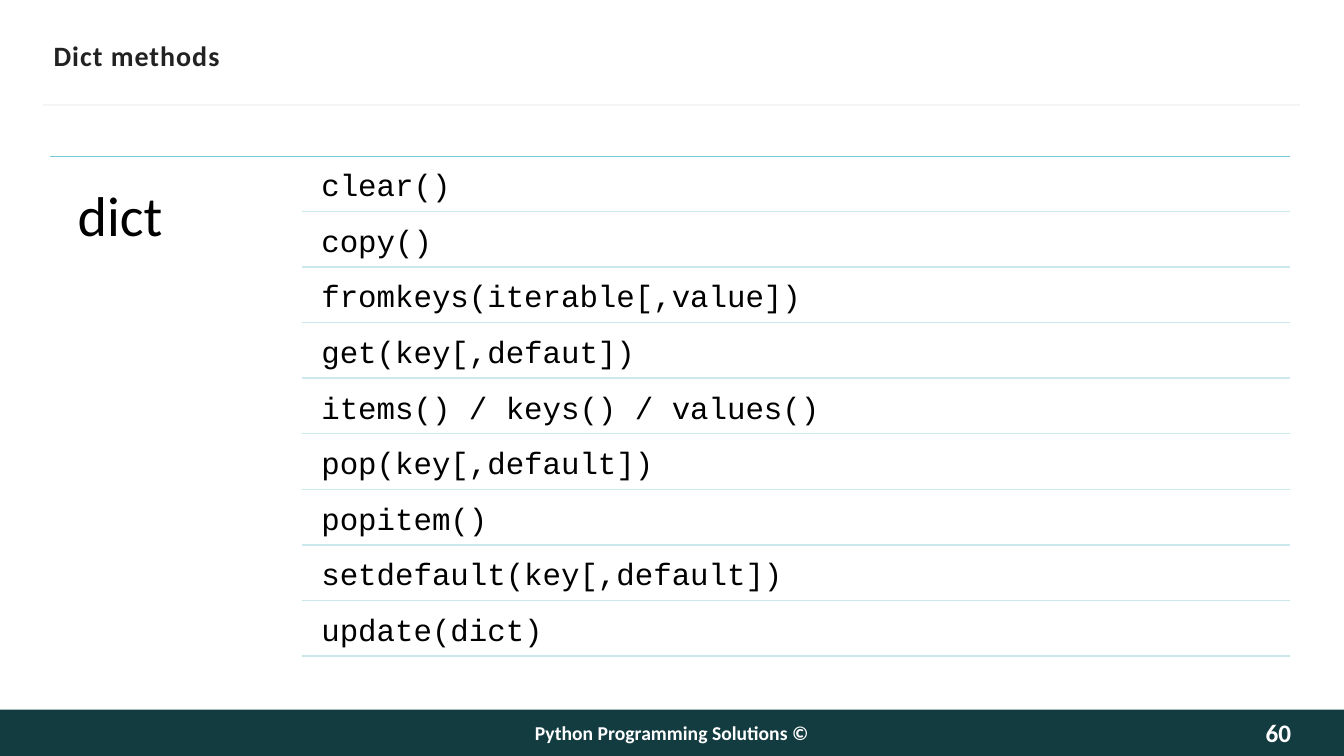
from dataclasses import dataclass

from lxml.etree import SubElement
from pptx import Presentation
from pptx.dml.color import RGBColor
from pptx.enum.shapes import MSO_CONNECTOR as Connector, MSO_SHAPE as Shape
from pptx.enum.text import MSO_ANCHOR as Anchor, PP_ALIGN as Align
from pptx.oxml.ns import qn
from pptx.slide import Slide
from pptx.util import Cm, Pt

TEAL_DARK = RGBColor(0x13, 0x3C, 0x41)
TEAL = RGBColor(0x76, 0xCD, 0xD8)
TEAL_PALE = RGBColor(0xCA, 0xE8, 0xED)
GREY_PALE = RGBColor(0xF5, 0xF5, 0xF5)
GREY_DARK = RGBColor(0x22, 0x22, 0x22)
BLACK = RGBColor(0, 0, 0)
WHITE = RGBColor(0xFF, 0xFF, 0xFF)
NEAR_WHITE = RGBColor(0xFE, 0xFE, 0xFE)

WIDTH, HEIGHT = 33.87, 19.05
FOOTER_TOP = 17.88
ROWS_TOP, ROW_PITCH, ROW_HEIGHT = 4.06, 1.4, 1.27
RULE_RIGHT = 32.51

METHODS = [
    "clear()",
    "copy()",
    "fromkeys(iterable[,value])",
    "get(key[,defaut])",
    "items() / keys() / values()",
    "pop(key[,default])",
    "popitem()",
    "setdefault(key[,default])",
    "update(dict)",
]


@dataclass
class Rule:
    left: float
    right: float
    y: float
    color: RGBColor
    weight: float = 1


@dataclass
class Label:
    text: str
    left: float
    top: float
    width: float
    height: float
    size: float
    color: RGBColor = BLACK
    font: str = "Calibri"
    bold: bool = False
    align: Align = Align.LEFT
    anchor: Anchor = Anchor.TOP
    inset_x: float = 0
    inset_y: float = 0
    wrap: bool = True
    line_spacing: float = 1.0
    space_after: float = 0
    tracking: float = 0


def add_rule(slide: Slide, rule: Rule) -> None:
    line = slide.shapes.add_connector(
        Connector.STRAIGHT, Cm(rule.left), Cm(rule.y), Cm(rule.right), Cm(rule.y))
    line.line.color.rgb = rule.color
    line.line.width = Pt(rule.weight)
    SubElement(line._element.spPr, qn("a:effectLst"))


def add_label(slide: Slide, label: Label) -> None:
    box = slide.shapes.add_textbox(
        Cm(label.left), Cm(label.top), Cm(label.width), Cm(label.height))
    frame = box.text_frame
    frame.word_wrap = label.wrap
    frame.vertical_anchor = label.anchor
    frame.margin_left = frame.margin_right = Cm(label.inset_x)
    frame.margin_top = frame.margin_bottom = Cm(label.inset_y)
    paragraph = frame.paragraphs[0]
    paragraph.text = label.text
    paragraph.alignment = label.align
    paragraph.line_spacing = label.line_spacing
    paragraph.space_after = Pt(label.space_after)
    font = paragraph.font
    font.name, font.size, font.bold = label.font, Pt(label.size), label.bold
    font.color.rgb = label.color
    if label.tracking:
        properties = paragraph._p.pPr.find(qn("a:defRPr"))
        properties.set("spc", str(round(label.tracking * 100)))


def add_footer(slide: Slide) -> None:
    band = slide.shapes.add_shape(
        Shape.RECTANGLE, 0, Cm(FOOTER_TOP), Cm(WIDTH), Cm(HEIGHT - FOOTER_TOP))
    band.shadow.inherit = False
    band.fill.solid()
    band.fill.fore_color.rgb = TEAL_DARK
    band.line.fill.background()
    add_label(slide, Label(
        "Python Programming Solutions ©", 8.89, FOOTER_TOP, 16.08, 1.14, 14, WHITE,
        bold=True, align=Align.CENTER, anchor=Anchor.MIDDLE,
        inset_x=0.25, inset_y=0.13))
    add_label(slide, Label(
        "60", 30.86, FOOTER_TOP, 1.68, 1.17, 18, NEAR_WHITE,
        bold=True, align=Align.RIGHT, anchor=Anchor.MIDDLE))


def add_methods(slide: Slide) -> None:
    for index, method in enumerate(METHODS):
        top = ROWS_TOP + index * ROW_PITCH
        add_label(slide, Label(
            method, 7.87, top, 24.51, ROW_HEIGHT, 22, font="Courier New",
            inset_x=0.23, inset_y=0.23, line_spacing=0.9, space_after=7.7))
        add_rule(slide, Rule(7.62, RULE_RIGHT, top + ROW_HEIGHT, TEAL_PALE))


def main() -> None:
    presentation = Presentation()
    presentation.slide_width, presentation.slide_height = Cm(WIDTH), Cm(HEIGHT)
    slide = presentation.slides.add_slide(presentation.slide_layouts[6])

    # Footer band and page number
    add_footer(slide)

    # Title with its rule
    add_rule(slide, Rule(1.09, 32.77, 2.64, GREY_PALE, 1.5))
    add_label(slide, Label(
        "Dict methods", 1.35, 0.84, 31.22, 1.12, 20, GREY_DARK, bold=True,
        anchor=Anchor.MIDDLE, inset_y=0.13, wrap=False, tracking=0.7))

    # Type name and its methods
    add_rule(slide, Rule(1.27, RULE_RIGHT, 3.94, TEAL))
    add_label(slide, Label(
        "dict", 1.27, ROWS_TOP, 6.1, 12.7, 40, inset_x=0.69, inset_y=0.69,
        line_spacing=0.9, space_after=22.8))
    add_methods(slide)

    presentation.save("out.pptx")


if __name__ == "__main__":
    main()
